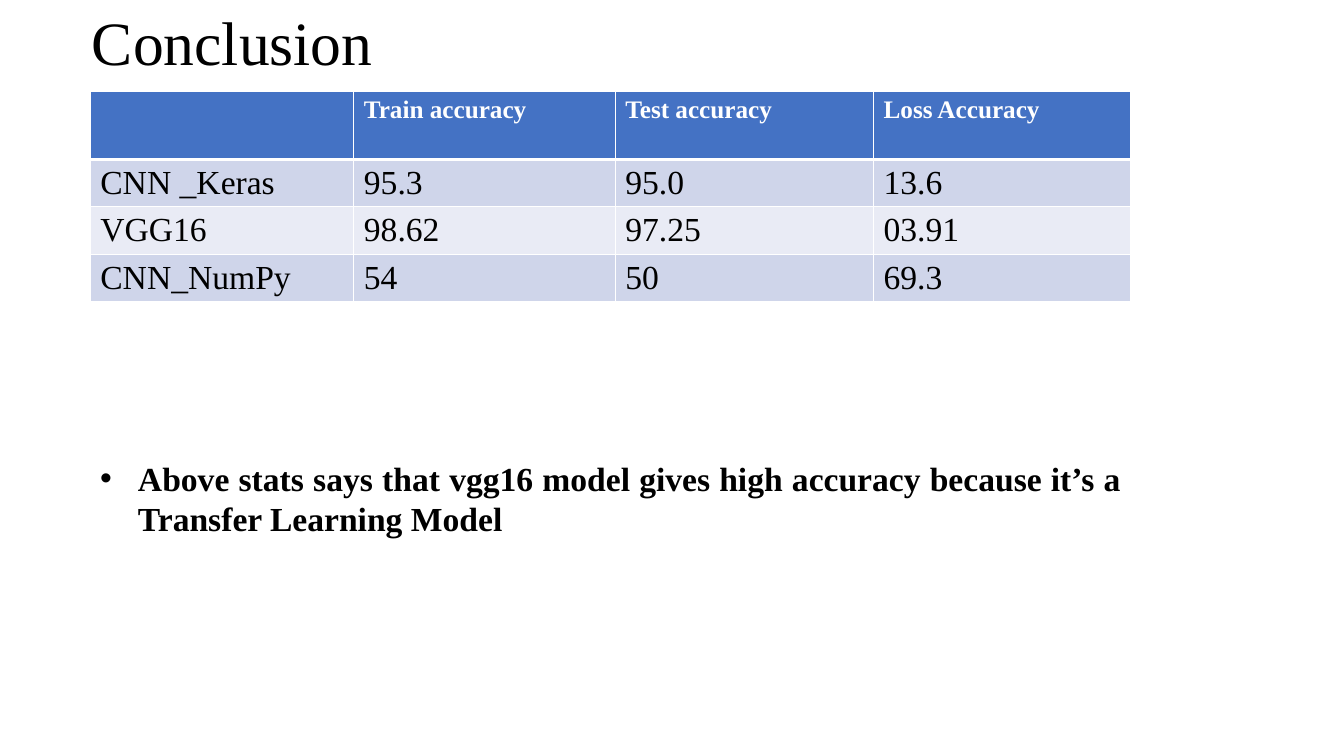
from dataclasses import dataclass

from lxml.etree import SubElement as Sub
from pptx import Presentation
from pptx.dml.color import RGBColor as Rgb
from pptx.enum.text import MSO_ANCHOR as Anchor, MSO_AUTO_SIZE as Fit, PP_ALIGN as Align
from pptx.oxml.ns import qn
from pptx.util import Pt

PX = 9525


@dataclass(frozen=True)
class Theme:
    """Colours, font and type sizes of the slide."""
    font: str = "Times New Roman"
    ink: str = "000000"
    white: str = "FFFFFF"
    head: str = "4472C4"
    bands: tuple = ("CFD5EA", "E9EBF5")
    title: int = 44
    label: int = 18
    body: int = 24


THEME = Theme()
LEFT, WIDTH = 86, 991
COLS = (251, 249, 246, 245)
HEAD_H, ROW_H = 65, 45
ROWS = (
    ("", "Train accuracy", "Test accuracy", "Loss Accuracy"),
    ("CNN _Keras", "95.3", "95.0", "13.6"),
    ("VGG16", "98.62", "97.25", "03.91"),
    ("CNN_NumPy", "54", "50", "69.3"),
)


def px(*sizes):
    """Turn px lengths into EMU."""
    return [size * PX for size in sizes]


def style(para, size, color, bold=False):
    """Set the font of a paragraph."""
    font = para.font
    font.name, font.size, font.bold = THEME.font, Pt(size), bold
    font.color.rgb = Rgb.from_string(color)


def add_title(slide, text):
    """Place and format the title."""
    title = slide.shapes.title
    title.left, title.top, title.width, title.height = px(78, 0, 1115, 87)
    frame = title.text_frame
    frame.text = text
    frame.auto_size, frame.vertical_anchor = Fit.NONE, Anchor.MIDDLE
    para = frame.paragraphs[0]
    para.alignment, para.line_spacing = Align.LEFT, 0.9
    style(para, THEME.title, THEME.ink)


def edge(cell, base):
    """Draw white borders round a cell, with the given bottom width."""
    props = cell._tc.get_or_add_tcPr()
    for side, width in zip("LRTB", (1, 1, 1, base)):
        line = Sub(props, qn(f"a:ln{side}"), w=str(Pt(width)))
        Sub(Sub(line, qn("a:solidFill")), qn("a:srgbClr"), val=THEME.white)


def fill_cell(cell, text, row):
    """Write and colour one cell of the given row."""
    head = row == 0
    edge(cell, 3 if head else 1)
    cell.fill.solid()
    fill = THEME.head if head else THEME.bands[(row - 1) % 2]
    cell.fill.fore_color.rgb = Rgb.from_string(fill)
    cell.text = text
    size, color = (THEME.label, THEME.white) if head else (THEME.body, THEME.ink)
    style(cell.text_frame.paragraphs[0], size, color, head)


def add_scores(slide):
    """Add the table of model scores."""
    tall = HEAD_H + ROW_H * (len(ROWS) - 1)
    box = px(LEFT, 87, WIDTH, tall)
    table = slide.shapes.add_table(len(ROWS), len(COLS), *box).table
    for col, wide in zip(table.columns, px(*COLS)):
        col.width = wide
    for num, texts in enumerate(ROWS):
        table.rows[num].height = (ROW_H if num else HEAD_H) * PX
        for col, text in enumerate(texts):
            fill_cell(table.cell(num, col), text, num)


def add_point(slide, text):
    """Add a bold bulleted remark."""
    frame = slide.shapes.add_textbox(*px(LEFT, 431, WIDTH, 87)).text_frame
    frame.word_wrap, frame.auto_size = True, Fit.SHAPE_TO_FIT_TEXT
    para = frame.paragraphs[0]
    para.text, para.alignment = text, Align.JUSTIFY
    props = para._p.get_or_add_pPr()
    props.set("marL", str(36 * PX))
    props.set("indent", str(-36 * PX))
    Sub(props, qn("a:buFont"), typeface="Arial")
    Sub(props, qn("a:buChar"), char="•")
    style(para, THEME.body, THEME.ink, True)


def main():
    """Build and save the slide."""
    deck = Presentation()
    deck.slide_width, deck.slide_height = px(1280, 720)
    slide = deck.slides.add_slide(deck.slide_layouts[5])
    add_title(slide, "Conclusion")
    add_scores(slide)
    add_point(slide, "Above stats says that vgg16 model gives high accuracy "
                     "because it’s a Transfer Learning Model")
    deck.save("out.pptx")


if __name__ == "__main__":
    main()
